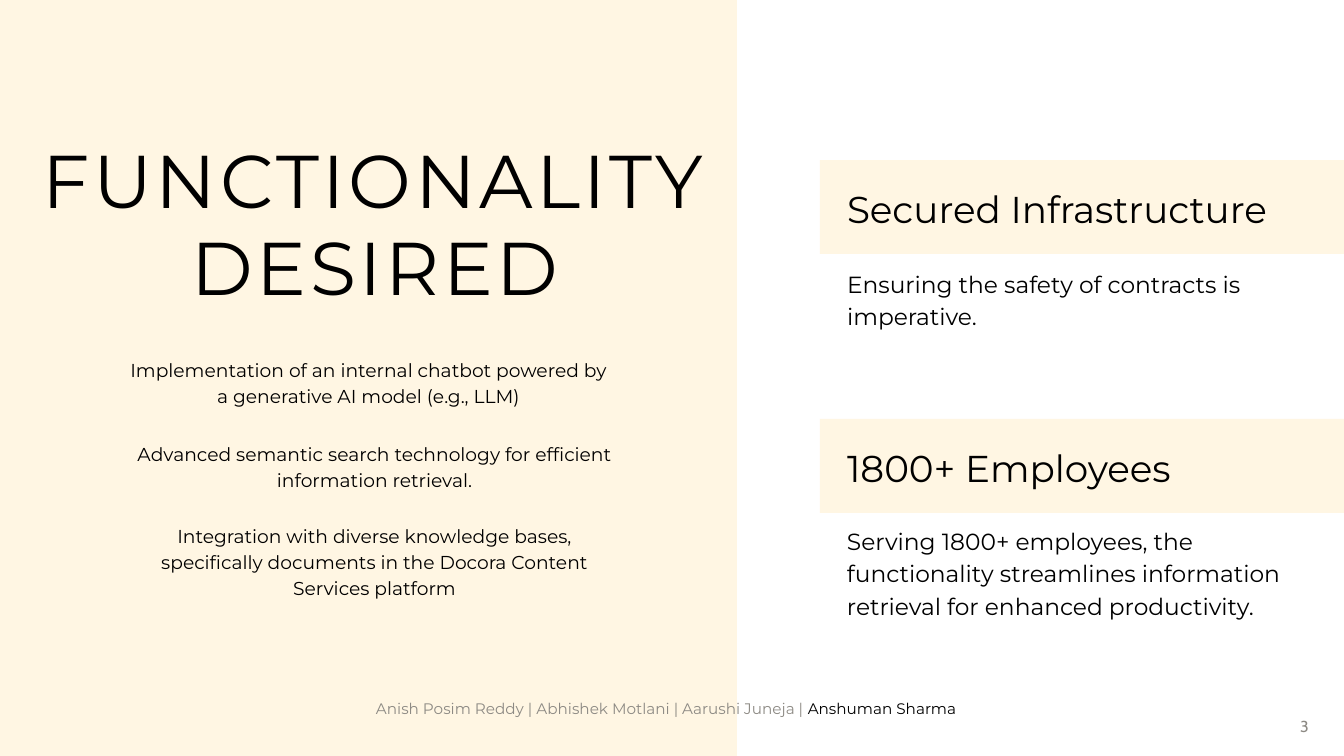
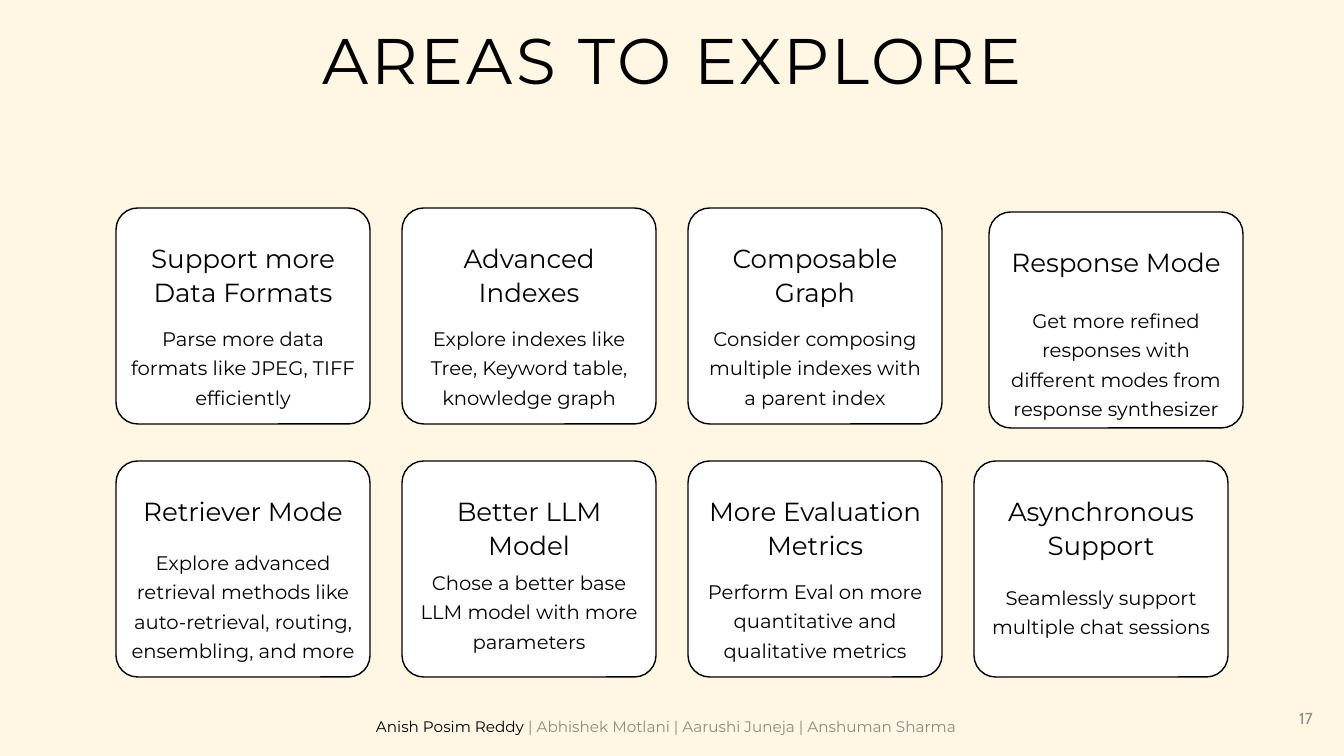
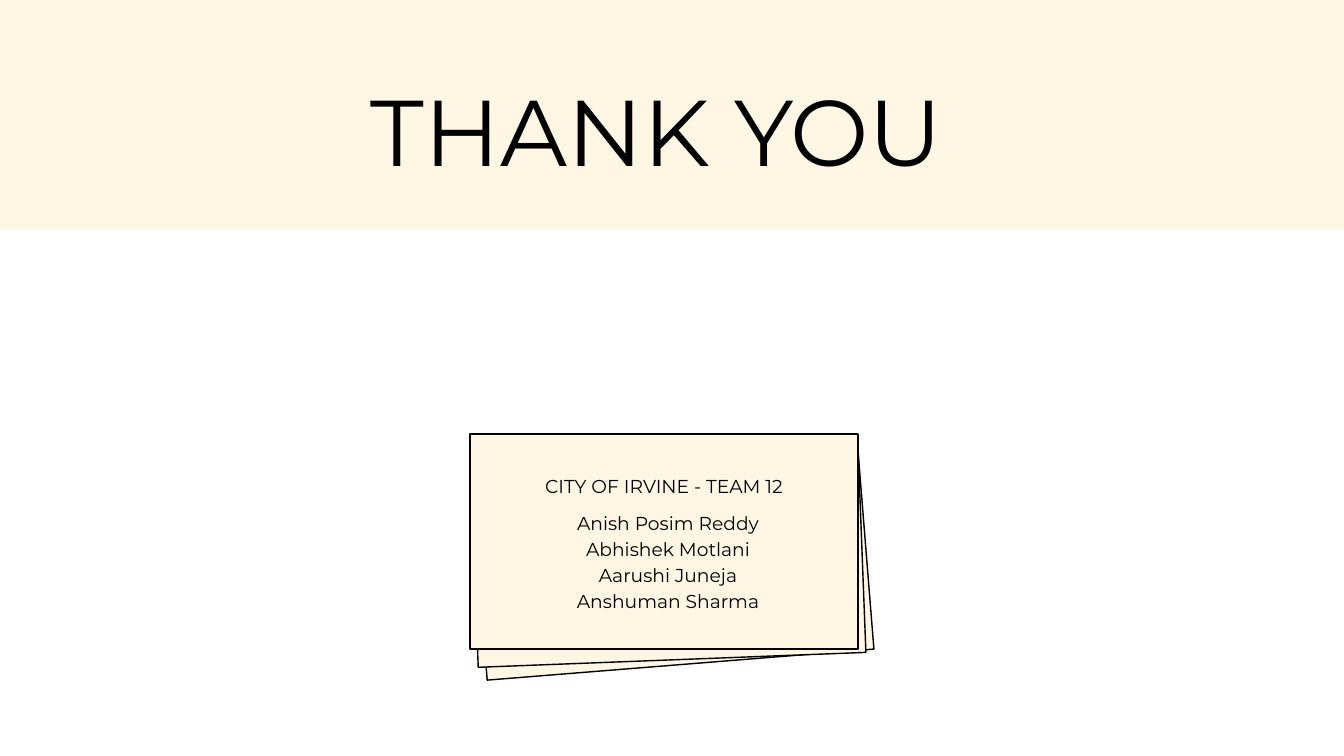
from dataclasses import dataclass
from pptx import Presentation
from pptx.dml.color import RGBColor
from pptx.enum.shapes import MSO_SHAPE
from pptx.enum.text import MSO_ANCHOR, MSO_AUTO_SIZE, PP_ALIGN
from pptx.util import Pt


@dataclass(frozen=True)
class Theme:
    cream: str = "FFF6E3"
    white: str = "FFFFFF"
    black: str = "000000"
    grey: str = "8D8A84"
    font: str = "Montserrat"
    folio: str = "Cabin"
    hero: tuple = (100, 110)
    title: tuple = (80, 92.8)
    wide: tuple = (69, 80)
    head: tuple = (40, 56)
    lead: tuple = (25, 35)
    body: tuple = (20, 28)
    card: tuple = (28, 36.4)
    note: tuple = (21, 31.5)
    page: tuple = (17, 23.8)
    foot: tuple = (16.3, 22.8)


T = Theme()
WIDTH, HEIGHT = 1344, 756
SCALE = 914400 / 67.2

TEAM = ["Anish Posim Reddy", "Abhishek Motlani", "Aarushi Juneja", "Anshuman Sharma"]

GOALS = [
    (129, 355, 52, "Implementation of an internal chatbot powered by a generative AI model (e.g., LLM)"),
    (135, 439, 52, "Advanced semantic search technology for efficient information retrieval."),
    (135, 521, 77, "Integration with diverse knowledge bases, specifically documents in the Docora Content Services platform"),
]

FACTS = [
    (160, 105, 421, 63, "Secured Infrastructure", "Ensuring the safety of contracts is imperative."),
    (419, 103, 447, 95, "1800+ Employees",
     "Serving 1800+ employees, the functionality streamlines information retrieval for enhanced productivity."),
]

AREAS = [
    ("Support more Data Formats", 2, 113, 3, "Parse more data formats like JPEG, TIFF efficiently"),
    ("Advanced Indexes", 2, 113, 3, "Explore indexes like Tree, Keyword table, knowledge graph"),
    ("Composable Graph", 2, 113, 3, "Consider composing multiple indexes with a parent index"),
    ("Response Mode", 1, 91, 4, "Get more refined responses with different modes from response synthesizer"),
    ("Retriever Mode", 1, 84, 4, "Explore advanced retrieval methods like auto-retrieval, routing, ensembling, and more"),
    ("Better LLM Model", 2, 104, 3, "Chose a better base LLM model with more parameters"),
    ("More Evaluation Metrics", 2, 113, 3, "Perform Eval on more quantitative and qualitative metrics"),
    ("Asynchronous Support", 2, 119, 2, "Seamlessly support multiple chat sessions"),
]
NUDGE = {3: (15, 4)}

SHEETS = [(478, 450, -4.6), (474, 445, -2.2), (470, 434, 0)]


def emu(*sizes):
    return [round(n * SCALE) for n in sizes]


def tint(name):
    return RGBColor.from_string(name)


def text(slide, box, paras, style=T.body, font=T.font, color=T.black, align="left", track=0, wrap=True):
    frame = slide.shapes.add_textbox(*emu(*box)).text_frame
    frame.margin_left = frame.margin_right = frame.margin_top = frame.margin_bottom = 0
    frame.word_wrap = wrap
    frame.auto_size = MSO_AUTO_SIZE.SHAPE_TO_FIT_TEXT
    frame.vertical_anchor = MSO_ANCHOR.TOP
    size, lead = style
    for i, runs in enumerate([paras] if isinstance(paras, str) else paras):
        para = frame.paragraphs[0] if i == 0 else frame.add_paragraph()
        para.alignment = PP_ALIGN.CENTER if align == "center" else PP_ALIGN.LEFT
        para.line_spacing = Pt(lead)
        for words, shade in [(runs, color)] if isinstance(runs, str) else runs:
            run = para.add_run()
            run.text = words
            run.font.name = font
            run.font.size = Pt(size)
            run.font.color.rgb = tint(shade)
            if track:
                run.font._element.set("spc", str(round(track * 100)))


def block(slide, box, fill=T.cream, line=None, kind=MSO_SHAPE.RECTANGLE, turn=0):
    shape = slide.shapes.add_shape(kind, *emu(*box))
    shape.shadow.inherit = False
    shape.fill.solid()
    shape.fill.fore_color.rgb = tint(fill)
    if line:
        shape.line.color.rgb = tint(line)
        shape.line.width = Pt(1.5)
    else:
        shape.line.fill.background()
    shape.rotation = turn
    return shape


def start(deck, fill=T.white):
    slide = deck.slides.add_slide(deck.slide_layouts[6])
    slide.background.fill.solid()
    slide.background.fill.fore_color.rgb = tint(fill)
    return slide


def footer(slide, top, active, page, spot):
    runs = [
        ("".join(f"{name} | " for name in TEAM[:active]), T.grey),
        (TEAM[active], T.black),
        ("".join(f" | {name}" for name in TEAM[active + 1:]), T.grey),
    ]
    text(slide, (376, top, 591, 20), [[run for run in runs if run[0]]], style=T.foot)
    text(slide, spot, page, style=T.page, font=T.folio, color=T.grey, align="center", wrap=False)


def desired(deck):
    slide = start(deck)
    block(slide, (0, 0, 737, HEIGHT))
    text(slide, (12, 137, 726, 173), "FUNCTIONALITY DESIRED", style=T.title, align="center", track=3.8)
    for left, top, high, goal in GOALS:
        text(slide, (left, top, 479, high), goal, align="center")
    for top, drop, wide, high, head, fact in FACTS:
        block(slide, (820, top, WIDTH - 820, 94))
        text(slide, (847, top + 19, 462, 50), head, style=T.head)
        text(slide, (847, top + drop, wide, high), fact, style=T.lead)
    footer(slide, 696, 3, "3", (1300, 713, 9, 21))


def explore(deck):
    slide = start(deck, T.cream)
    text(slide, (198, 23, 949, 75), "AREAS TO EXPLORE", style=T.wide, align="center", track=3.2)
    for i, (head, rows, drop, lines, note) in enumerate(AREAS):
        row, col = divmod(i, 4)
        right, down = NUDGE.get(i, (0, 0))
        left, top = 116 + 286 * col + right, 208 + 253 * row + down
        card = block(slide, (left, top, 254, 216), T.white, T.black, MSO_SHAPE.ROUNDED_RECTANGLE)
        card.adjustments[0] = 0.1
        text(slide, (left + 15, top + 32, 224, 33 * rows), head, style=T.card, align="center")
        text(slide, (left + 15, top + drop, 224, 29 * lines), note, style=T.note, align="center")
    footer(slide, 714, 0, "17", (1298, 705, 16, 21))


def thanks(deck):
    slide = start(deck)
    for left, top, turn in SHEETS:
        block(slide, (left, top, 388, 215), line=T.black, turn=turn)
    text(slide, (524, 471, 280, 24), "CITY OF IRVINE - TEAM 12", align="center")
    text(slide, (528, 508, 280, 102), TEAM, align="center")
    block(slide, (0, 0, WIDTH, 230))
    text(slide, (371, 83, 602, 105), "THANK YOU", style=T.hero)


def main():
    deck = Presentation()
    deck.slide_width, deck.slide_height = emu(WIDTH, HEIGHT)
    for build in (desired, explore, thanks):
        build(deck)
    deck.save("out.pptx")


if __name__ == "__main__":
    main()
